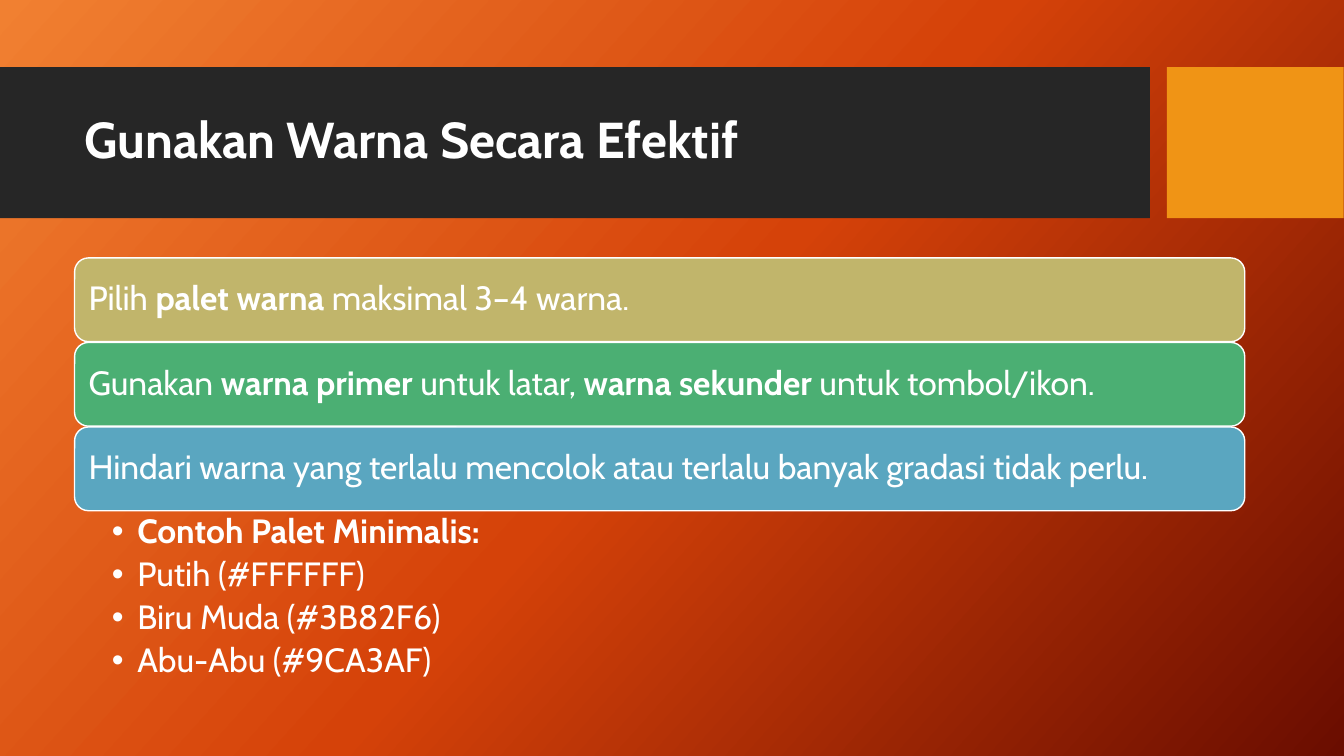
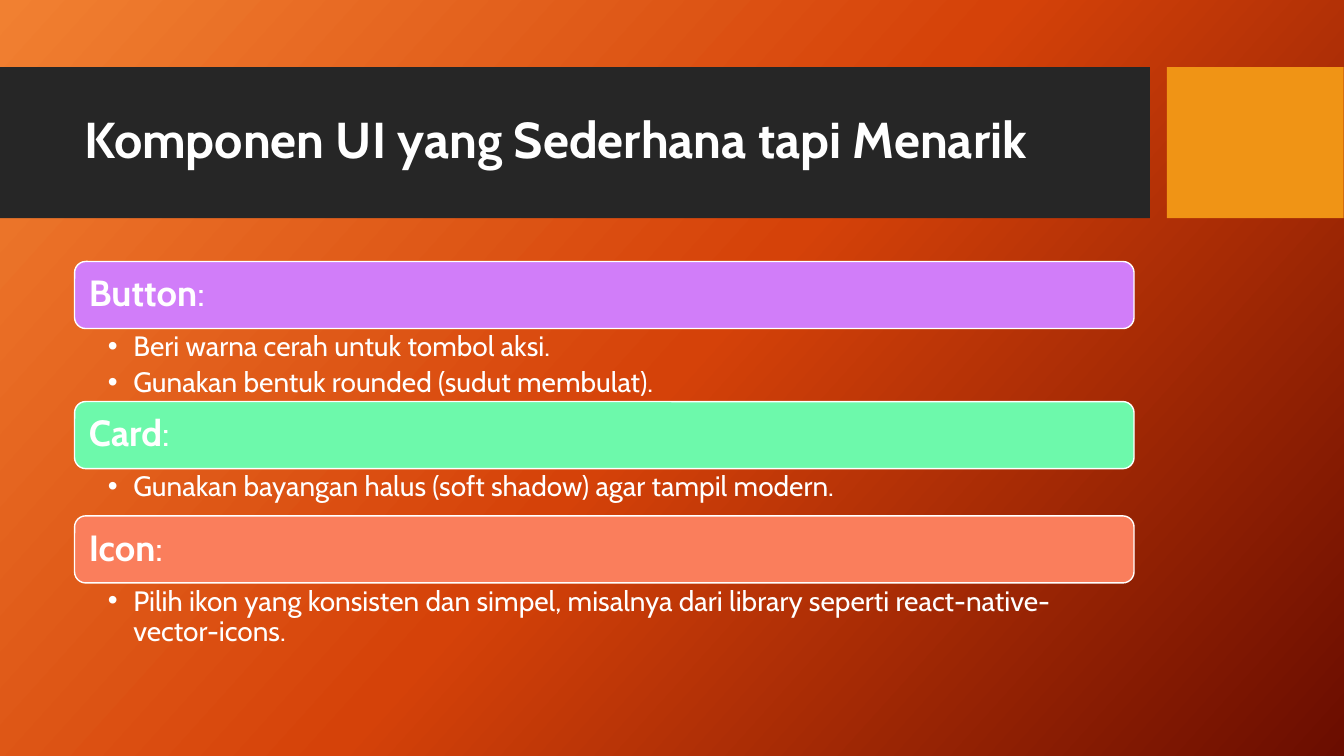
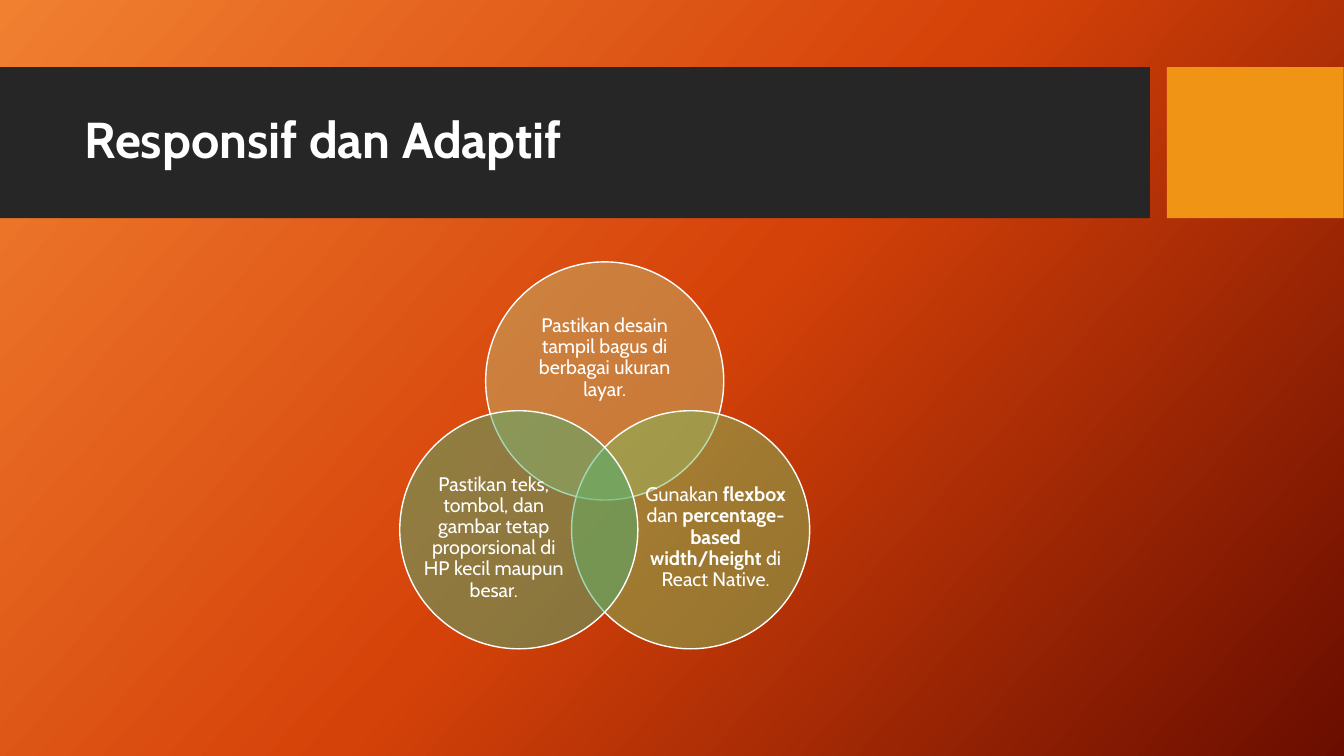
import math

from lxml import etree
from pptx import Presentation
from pptx.dml.color import RGBColor
from pptx.enum.shapes import MSO_SHAPE
from pptx.enum.text import MSO_ANCHOR, PP_ALIGN
from pptx.oxml.ns import qn
from pptx.util import Cm, Pt

RECT, ROUND, OVAL = MSO_SHAPE.RECTANGLE, MSO_SHAPE.ROUNDED_RECTANGLE, MSO_SHAPE.OVAL
TOP, MIDDLE = MSO_ANCHOR.TOP, MSO_ANCHOR.MIDDLE
LEFT, CENTER = PP_ALIGN.LEFT, PP_ALIGN.CENTER

FONT = "Cabin"
WHITE = RGBColor(0xFF, 0xFF, 0xFF)
CHARCOAL = RGBColor(0x26, 0x26, 0x26)
AMBER = RGBColor(0xF0, 0x94, 0x15)
KHAKI = RGBColor(0xC1, 0xB5, 0x6B)
GREEN = RGBColor(0x4B, 0xAF, 0x73)
BLUE = RGBColor(0x5A, 0xA6, 0xC0)
VIOLET = RGBColor(0xD1, 0x7D, 0xF9)
MINT = RGBColor(0x6D, 0xF9, 0xAB)
CORAL = RGBColor(0xFA, 0x7E, 0x5C)
LEAF = RGBColor(0x7D, 0xB9, 0x5A)
GRADIENT = [
    (0, RGBColor(0xF1, 0x80, 0x31)),
    (50, RGBColor(0xD5, 0x42, 0x09)),
    (100, RGBColor(0x6A, 0x0D, 0x00)),
]
GRADIENT_ANGLE = 42
MARGIN = 1.88

COLOR_TITLE = "Gunakan Warna Secara Efektif"
COLOR_RULES = [
    ("Pilih *palet warna* maksimal 3–4 warna.", KHAKI),
    ("Gunakan *warna primer *untuk latar, *warna sekunder *untuk tombol/ikon.", GREEN),
    ("Hindari warna yang terlalu mencolok atau terlalu banyak gradasi tidak perlu.", BLUE),
]
PALETTE = [
    "*Contoh Palet Minimalis:*",
    "Putih (#FFFFFF)",
    "Biru Muda (#3B82F6)",
    "Abu-Abu (#9CA3AF)",
]

COMPONENT_TITLE = "Komponen UI yang Sederhana tapi Menarik"
COMPONENTS = [
    ("*Button*:", VIOLET, 1.84, [
        "Beri warna cerah untuk tombol aksi.",
        "Gunakan bentuk rounded (sudut membulat).",
    ]),
    ("*Card*:", MINT, 1.19, ["Gunakan bayangan halus (soft shadow) agar tampil modern."]),
    ("*Icon*:", CORAL, 1.68, [
        "Pilih ikon yang konsisten dan simpel, misalnya dari library seperti "
        "react-native-vector-icons.",
    ]),
]

RESPONSIVE_TITLE = "Responsif dan Adaptif"
VENN = [
    ("Pastikan desain tampil bagus di berbagai ukuran layar.", KHAKI, (0, -0.58), (4.4, 2.7)),
    ("Gunakan *flexbox* dan *percentage-based width/height* di React Native.",
     LEAF, (0.63, 0.2), (3.6, 3.3)),
    ("Pastikan teks, tombol, dan gambar tetap proporsional di HP kecil maupun besar.",
     GREEN, (-0.63, 0.2), (3.6, 3.3)),
]


def set_background(master):
    fill = master.background.fill
    fill.gradient()
    fill.gradient_angle = 360 - GRADIENT_ANGLE
    stops = master.element.find(".//" + qn("a:gsLst"))
    for old in list(stops):
        stops.remove(old)
    for position, color in GRADIENT:
        stop = etree.SubElement(stops, qn("a:gs"), pos=str(position * 1000))
        etree.SubElement(stop, qn("a:srgbClr"), val=str(color))


def add_block(slide, kind, box, color, line=None, alpha=None):
    sp = slide.shapes.add_shape(kind, *map(Cm, box))
    sp.shadow.inherit = False
    sp.fill.solid()
    sp.fill.fore_color.rgb = color
    if alpha:
        clr = sp.element.spPr.find(".//" + qn("a:srgbClr"))
        etree.SubElement(clr, qn("a:alpha"), val=str(alpha * 1000))
    if line:
        sp.line.color.rgb = line
        sp.line.width = Pt(1)
    else:
        sp.line.fill.background()
    return sp


def write(sp, lines, size, insets, anchor=MIDDLE, align=LEFT, bullets=False):
    tf = sp.text_frame
    tf.word_wrap = True
    tf.vertical_anchor = anchor
    tf.margin_left, tf.margin_top, tf.margin_right, tf.margin_bottom = map(Cm, insets)
    for i, line in enumerate(lines):
        p = tf.paragraphs[0] if i == 0 else tf.add_paragraph()
        p.alignment = align
        p.line_spacing = 0.9
        if bullets:
            p.space_after = Pt(size * 0.2)
            pPr = p._p.get_or_add_pPr()
            pPr.set("marL", str(Cm(0.64)))
            pPr.set("indent", str(Cm(-0.64)))
            etree.SubElement(pPr, qn("a:buFont"), typeface="Arial")
            etree.SubElement(pPr, qn("a:buChar"), char="•")
        for j, part in enumerate(line.split("*")):
            if part:
                r = p.add_run()
                r.text = part
                r.font.name = FONT
                r.font.size = Pt(size)
                r.font.bold = j % 2 == 1
                r.font.color.rgb = WHITE


def add_text(slide, box, lines, size, insets, **style):
    write(slide.shapes.add_textbox(*map(Cm, box)), lines, size, insets, **style)


def add_bar(slide, box, text, color, size, inset):
    write(add_block(slide, ROUND, box, color, WHITE), [text], size, [inset] * 4)


def add_titled_slide(prs, title):
    slide = prs.slides.add_slide(prs.slide_layouts[6])
    add_block(slide, RECT, (0, 1.69, 28.98, 3.81), CHARCOAL)
    add_block(slide, RECT, (29.41, 1.69, 4.45, 3.81), AMBER)
    add_text(slide, (MARGIN, 2.08, 26.7, 3), [f"*{title}*"], 36, (0.25, 0.13, 0.25, 0.13))
    return slide


def build_colors(prs):
    slide = add_titled_slide(prs, COLOR_TITLE)
    top, height, pitch, width = 6.5, 2.11, 2.13, 29.49
    for text, color in COLOR_RULES:
        add_bar(slide, (MARGIN, top, width, height), text, color, 24, 0.25)
        top += pitch
    add_text(slide, (MARGIN, top, width, 3.63), PALETTE, 24,
             (0.94, 0.08, 0.48, 0.08), anchor=TOP, bullets=True)


def build_components(prs):
    slide = add_titled_slide(prs, COMPONENT_TITLE)
    top, height, width = 6.59, 1.69, 26.7
    for name, color, list_height, tips in COMPONENTS:
        add_bar(slide, (MARGIN, top, width, height), name, color, 26, 0.28)
        top += height
        add_text(slide, (MARGIN, top, width, list_height), tips, 20,
                 (0.84, 0.1, 0.5, 0.1), anchor=TOP, bullets=True)
        top += list_height


def build_responsive(prs):
    slide = add_titled_slide(prs, RESPONSIVE_TITLE)
    center_x, center_y, ring, diameter = 15.24, 12.1, 2.5, 6
    for i, (text, color, (dx, dy), (w, h)) in enumerate(VENN):
        angle = math.radians(120 * i - 90)
        x = center_x + ring * math.cos(angle)
        y = center_y + ring * math.sin(angle)
        circle = (x - diameter / 2, y - diameter / 2, diameter, diameter)
        add_block(slide, OVAL, circle, color, WHITE, alpha=50)
        add_text(slide, (x + dx - w / 2, y + dy - h / 2, w, h), [text], 14,
                 [0] * 4, align=CENTER)


def main():
    prs = Presentation()
    prs.slide_width, prs.slide_height = Cm(33.87), Cm(19.05)
    set_background(prs.slide_master)
    build_colors(prs)
    build_components(prs)
    build_responsive(prs)
    prs.save("out.pptx")


if __name__ == "__main__":
    main()
